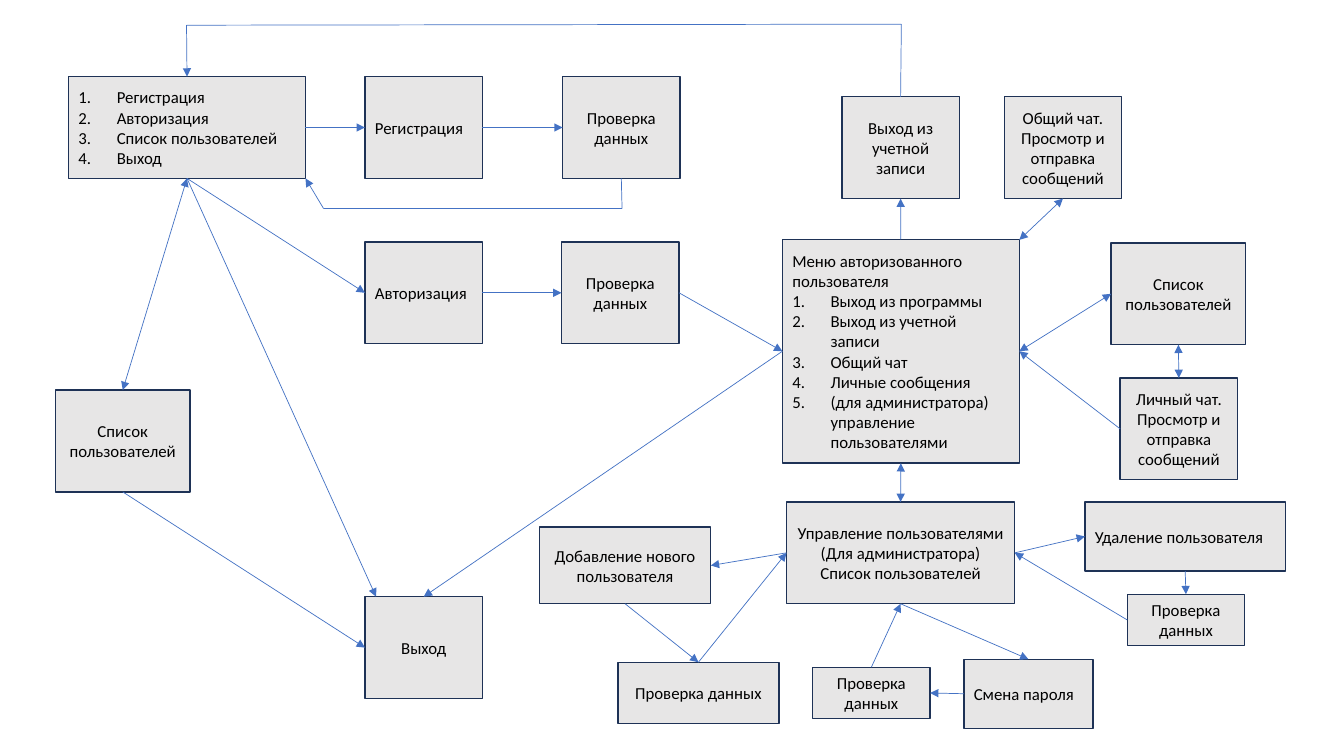
from itertools import pairwise

from lxml.etree import SubElement
from pptx import Presentation
from pptx.dml.color import RGBColor
from pptx.enum.shapes import MSO_CONNECTOR, MSO_SHAPE
from pptx.enum.text import MSO_ANCHOR, PP_ALIGN
from pptx.oxml.ns import qn
from pptx.util import Inches, Pt

PANEL = RGBColor(0xE7, 0xE6, 0xE6)
BORDER = RGBColor(0x1E, 0x32, 0x56)
ARROW = RGBColor(0x44, 0x72, 0xC4)
INK = RGBColor(0, 0, 0)
CELL = Inches(0.1)
INDENT = Inches(0.38)
STEP = (11.65, 10.1)
USER_LIST = (13.35, 10.1)
MENU_WIDTH = 23.5
TOP, LEFT, BOTTOM, RIGHT = range(4)
FONT = {"name": "Calibri", "size": Pt(12)}
FRAME = {"word_wrap": True, "vertical_anchor": MSO_ANCHOR.MIDDLE}
CHECK = ["Проверка данных"]
USERS = ["Список пользователей"]
MESSAGES = "Просмотр и отправка сообщений"

STEPS = {
    "register": (36.2, 7.6, *STEP, ["Регистрация"], PP_ALIGN.LEFT),
    "register_check": (55.8, 7.6, *STEP, CHECK, PP_ALIGN.CENTER),
    "login": (36.2, 24, *STEP, ["Авторизация"], PP_ALIGN.LEFT),
    "login_check": (55.7, 24, *STEP, CHECK, PP_ALIGN.CENTER),
    "guest_users": (5.5, 38.7, *USER_LIST, USERS, PP_ALIGN.CENTER),
    "exit": (36.2, 59.2, *STEP, ["Выход"], PP_ALIGN.CENTER),
    "logout": (83.5, 9.6, *STEP, ["Выход из учетной записи"], PP_ALIGN.CENTER),
    "common_chat": (99.6, 9.6, *STEP, ["Общий чат.", MESSAGES], PP_ALIGN.CENTER),
    "member_users": (110.2, 24.1, *USER_LIST, USERS, PP_ALIGN.CENTER),
    "private_chat": (111.1, 37.5, *STEP, ["Личный чат.", MESSAGES], PP_ALIGN.CENTER),
    "admin": (78, 49.8, 22.65, 10.1,
              ["Управление пользователями", "(Для администратора)", *USERS],
              PP_ALIGN.CENTER),
    "add_user": (53.5, 52.3, 17, 7.6, ["Добавление нового пользователя"], PP_ALIGN.CENTER),
    "add_check": (61.3, 65.7, 15.95, 6.1, CHECK, PP_ALIGN.CENTER),
    "delete_user": (107.6, 49.8, 19.9, 6.85, ["Удаление пользователя"], PP_ALIGN.LEFT),
    "delete_check": (111.8, 58.95, STEP[0], 5.1, CHECK, PP_ALIGN.CENTER),
    "password": (95.6, 65.4, 12.8, 6.85, ["Смена пароля"], PP_ALIGN.LEFT),
    "password_check": (80.6, 66.2, STEP[0], 5.1, CHECK, PP_ALIGN.CENTER),
}
MENUS = {
    "start_menu": (6.8, 7.6, MENU_WIDTH, 10.1, [],
                   ["Регистрация", "Авторизация", *USERS, "Выход"]),
    "member_menu": (77.6, 23.75, MENU_WIDTH, 22.2,
                    ["Меню авторизованного пользователя"],
                    ["Выход из программы", "Выход из учетной записи", "Общий чат",
                     "Личные сообщения",
                     "(для администратора) управление пользователями"]),
}
ONE_WAY = [
    [("start_menu", RIGHT), ("register", LEFT)],
    [("register", RIGHT), ("register_check", LEFT)],
    [("register_check", BOTTOM), (61.7, 20.7), (32.1, 20.7), (30.3, 17.7)],
    [("start_menu", BOTTOM), ("login", LEFT)],
    [("login", RIGHT), ("login_check", LEFT)],
    [("login_check", RIGHT), ("member_menu", LEFT)],
    [("start_menu", BOTTOM), (37.3, 59.2)],
    [("guest_users", BOTTOM), ("exit", LEFT)],
    [("member_menu", LEFT), ("exit", TOP)],
    [("member_menu", TOP), ("logout", BOTTOM)],
    [("logout", TOP), (89.4, 2.4), (18.5, 2.5), ("start_menu", TOP)],
    [("private_chat", LEFT), ("member_menu", RIGHT)],
    [("admin", LEFT), ("add_user", RIGHT)],
    [("add_user", BOTTOM), ("add_check", TOP)],
    [("add_check", TOP), ("admin", LEFT)],
    [("admin", RIGHT), ("delete_user", LEFT)],
    [("delete_user", BOTTOM), ("delete_check", TOP)],
    [("delete_check", LEFT), ("admin", RIGHT)],
    [("admin", BOTTOM), ("password", TOP)],
    [("password", LEFT), ("password_check", RIGHT)],
    [("password_check", TOP), ("admin", BOTTOM)],
]
TWO_WAY = [
    [("start_menu", BOTTOM), ("guest_users", TOP)],
    [(101.1, 23.8), ("common_chat", BOTTOM)],
    [("member_menu", RIGHT), ("member_users", LEFT)],
    [("member_users", BOTTOM), ("private_chat", TOP)],
    [("member_menu", BOTTOM), ("admin", TOP)],
]


def apply(target, formats):
    """Set every format value on the target."""
    for key, value in formats.items():
        setattr(target, key, value)


def cells(*counts):
    """Turn counts of grid cells into slide lengths."""
    return [round(count * CELL) for count in counts]


def number(paragraph):
    """Give a paragraph a hanging automatic number."""
    properties = paragraph._p.get_or_add_pPr()
    properties.set("marL", str(INDENT))
    properties.set("indent", str(-INDENT))
    SubElement(properties, qn("a:buFont"), typeface="+mj-lt")
    SubElement(properties, qn("a:buAutoNum"), type="arabicPeriod")


def add_step(slide, left, top, width, height, lines, align):
    """Draw one box of the flow with its lines of text."""
    step = slide.shapes.add_shape(MSO_SHAPE.RECTANGLE, *cells(left, top, width, height))
    step.shadow.inherit = False
    step.fill.solid()
    step.fill.fore_color.rgb = PANEL
    step.line.color.rgb = BORDER
    step.line.width = Pt(1)
    apply(step.text_frame, FRAME)
    for index, line in enumerate(lines):
        paragraph = step.text_frame.add_paragraph() if index else step.text_frame.paragraphs[0]
        paragraph.alignment = align
        wording = paragraph.add_run()
        wording.text = line
        apply(wording.font, FONT)
        wording.font.color.rgb = INK
    return step


def add_menu(slide, left, top, width, height, heading, options):
    """Draw a box with an optional heading and numbered options."""
    menu = add_step(slide, left, top, width, height, heading + options, PP_ALIGN.LEFT)
    for paragraph in menu.text_frame.paragraphs[len(heading):]:
        number(paragraph)
    return menu


def add_link(slide, steps, start, end, arrowheads):
    """Join two stops, each a side of a step or a grid point."""
    link = slide.shapes.add_connector(MSO_CONNECTOR.STRAIGHT, 0, 0, 0, 0)
    for stop, side, connect in ((start, "begin", link.begin_connect),
                                (end, "end", link.end_connect)):
        if stop[0] in steps:
            connect(steps[stop[0]], stop[1])
        else:
            x, y = cells(*stop)
            apply(link, {f"{side}_x": x, f"{side}_y": y})
    link.line.color.rgb = ARROW
    link.line.width = Pt(0.5)
    for arrowhead in arrowheads:
        SubElement(link.line._get_or_add_ln(), qn(f"a:{arrowhead}"), type="triangle")
    SubElement(link._element.spPr, qn("a:effectLst"))


def add_route(slide, steps, stops, arrowheads):
    """Draw a chain of links with arrowheads on the last one."""
    links = list(pairwise(stops))
    for index, (start, end) in enumerate(links, 1):
        add_link(slide, steps, start, end, arrowheads if index == len(links) else ())


def main():
    """Build the flow of the chat program."""
    deck = Presentation()
    apply(deck, {"slide_width": Inches(13.33), "slide_height": Inches(7.5)})
    slide = deck.slides.add_slide(deck.slide_layouts[6])
    steps = {key: add_step(slide, *content) for key, content in STEPS.items()}
    steps |= {key: add_menu(slide, *content) for key, content in MENUS.items()}
    for routes, arrowheads in ((ONE_WAY, ["tailEnd"]), (TWO_WAY, ["headEnd", "tailEnd"])):
        for stops in routes:
            add_route(slide, steps, stops, arrowheads)
    deck.save("out.pptx")


main()
